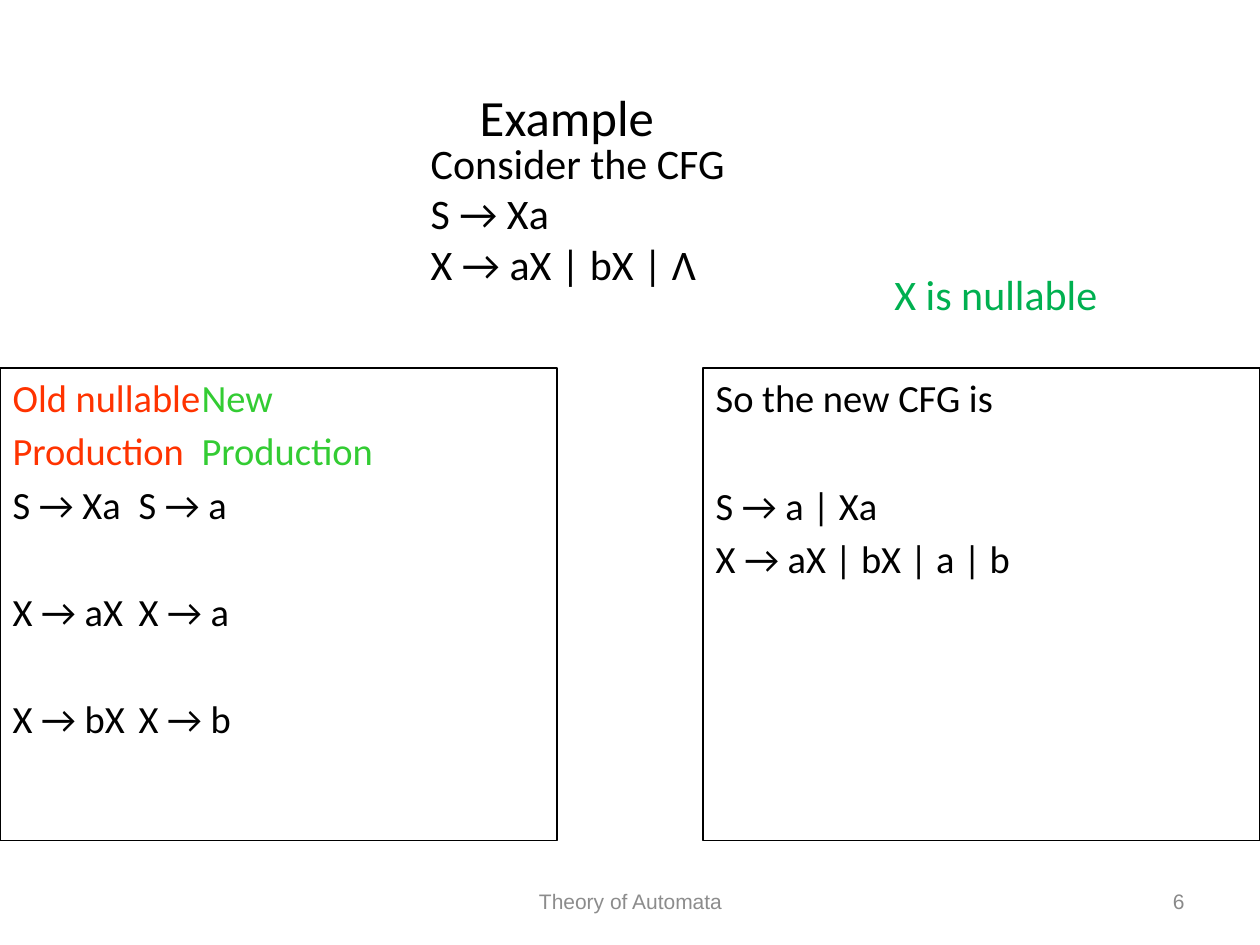
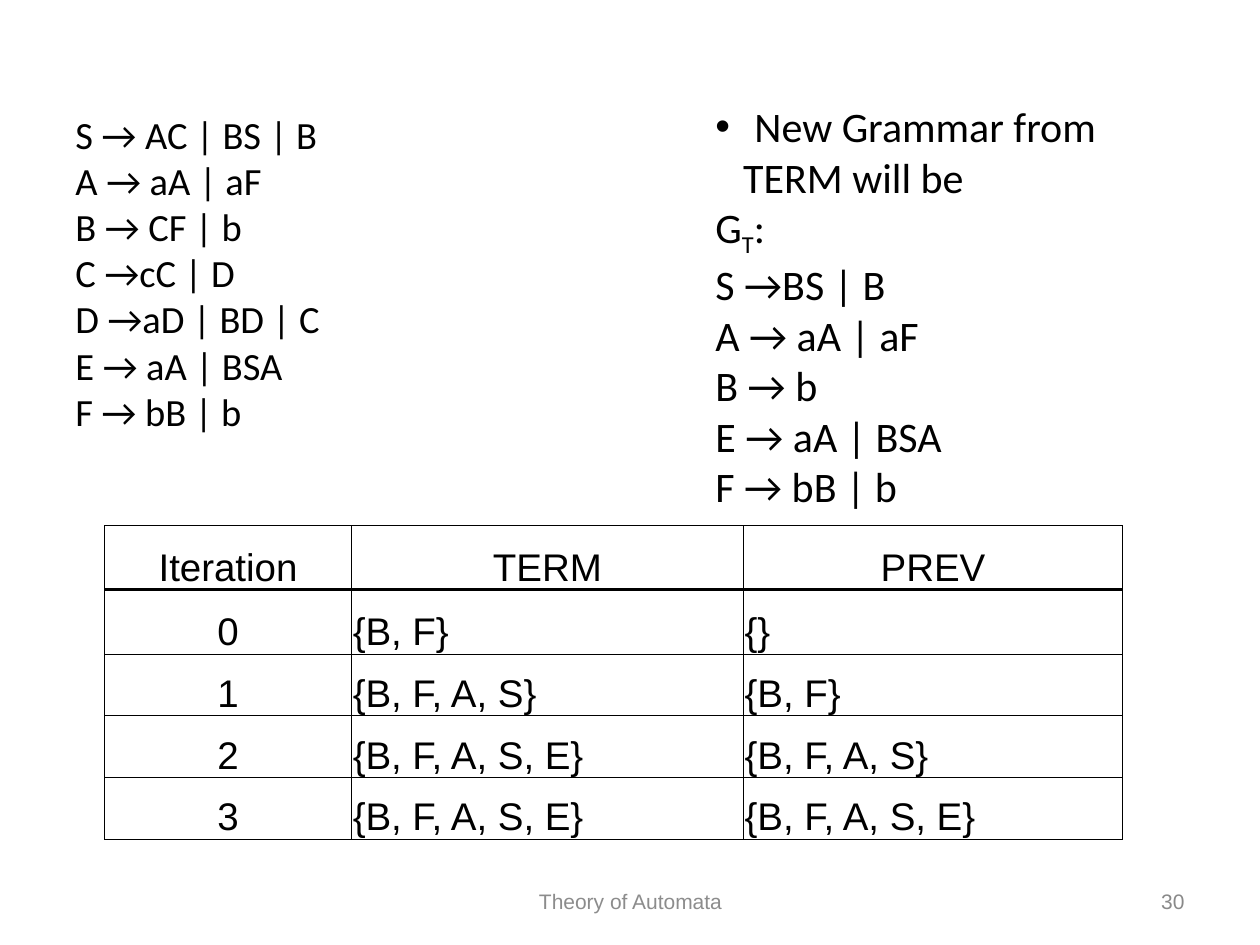
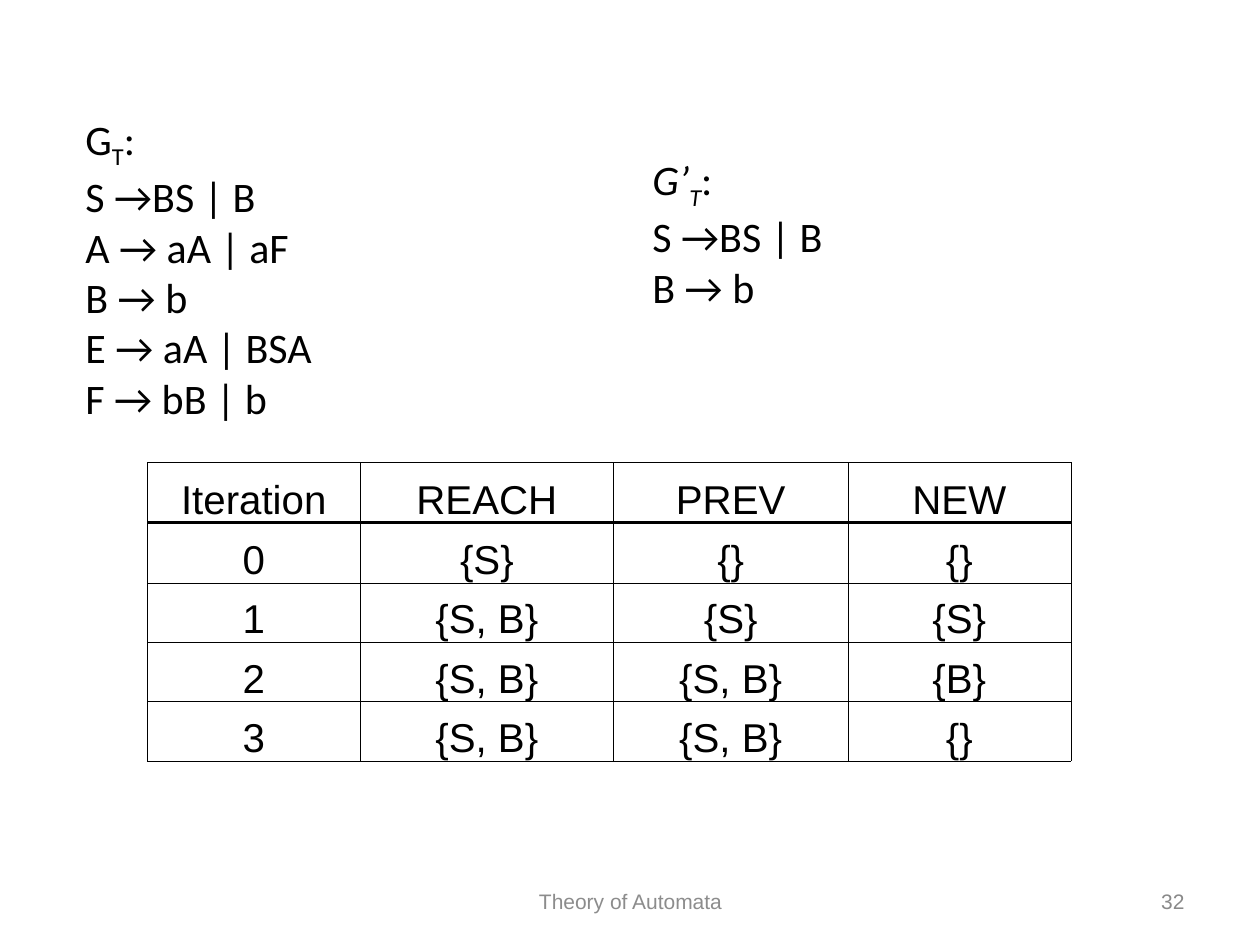
from dataclasses import dataclass
from typing import NamedTuple

from lxml.etree import SubElement
from pptx import Presentation
from pptx.dml.color import RGBColor
from pptx.enum.text import MSO_ANCHOR, MSO_AUTO_SIZE, PP_ALIGN
from pptx.oxml import parse_xml
from pptx.oxml.ns import nsdecls, qn
from pptx.util import Inches, Pt

BLACK = RGBColor(0x00, 0x00, 0x00)
OLD_RED = RGBColor(0xFF, 0x33, 0x00)
NEW_GREEN = RGBColor(0x33, 0xCC, 0x33)
NULLABLE_GREEN = RGBColor(0x00, 0xB0, 0x50)
FOOTER_GREY = RGBColor(0x8C, 0x8C, 0x8C)
NUMBER_GREY = RGBColor(0x89, 0x89, 0x89)
GRAMMAR_FONT = "Calibri"
TABLE_FONT = "Arial"
COURSE = "Theory of Automata"
TWO_CONTENT, BLANK = 3, 6
THIN, THICK = 0.5, 2
PAIR_TAB = 2.38


class Box(NamedTuple):
    left: float
    top: float
    width: float
    height: float


class Span(NamedTuple):
    text: str
    color: RGBColor | None = None
    subscript: bool = False
    italic: bool = False


@dataclass(frozen=True)
class Line:
    spans: tuple[Span, ...]
    space_before: float = 0
    indent: float = 0
    bullet: bool = False
    tab: float | None = None


@dataclass(frozen=True)
class Style:
    size: float
    font: str = GRAMMAR_FONT
    color: RGBColor = BLACK
    align: PP_ALIGN = PP_ALIGN.LEFT
    anchor: MSO_ANCHOR = MSO_ANCHOR.TOP
    grow: bool = True


@dataclass(frozen=True)
class IterationTable:
    box: Box
    columns: tuple[float, ...]
    row_heights: tuple[float, ...]
    rows: tuple[tuple[str, ...], ...]
    size: float
    inset: float
    centred_columns: int


GRAMMAR = Style(24)
SMALL_GRAMMAR = Style(22)
PANEL = Style(22, grow=False)
TITLE = Style(29, align=PP_ALIGN.CENTER, anchor=MSO_ANCHOR.MIDDLE, grow=False)
FOOTER = Style(12, TABLE_FONT, FOOTER_GREY, PP_ALIGN.CENTER, MSO_ANCHOR.MIDDLE, False)
NUMBER = Style(12, TABLE_FONT, NUMBER_GREY, PP_ALIGN.RIGHT, MSO_ANCHOR.MIDDLE, False)


def line(text: str, **layout) -> Line:
    return Line((Span(text),), **layout)


def lines(*texts: str) -> list[Line]:
    return [line(text) for text in texts]


def place(shape, box: Box) -> None:
    shape.left, shape.top, shape.width, shape.height = map(Inches, box)


def format_run(run, style: Style, span: Span) -> None:
    run.font.name = style.font
    run.font.size = Pt(style.size)
    run.font.color.rgb = span.color or style.color
    if span.italic:
        run.font.italic = True
    if span.subscript:
        run.font._element.set("baseline", "-25000")


def write_line(paragraph, content: Line, style: Style) -> None:
    properties = paragraph._p.get_or_add_pPr()
    properties.set("marL", str(Inches(content.indent)))
    properties.set("indent", str(-Inches(content.indent) if content.bullet else 0))
    if content.bullet:
        SubElement(properties, qn("a:buFont"), typeface="Arial")
        SubElement(properties, qn("a:buChar"), char="•")
    else:
        SubElement(properties, qn("a:buNone"))
    if content.tab is not None:
        stops = SubElement(properties, qn("a:tabLst"))
        SubElement(stops, qn("a:tab"), pos=str(Inches(content.tab)), algn="l")
    paragraph.alignment = style.align
    paragraph.space_before = Pt(content.space_before)
    for span in content.spans:
        run = paragraph.add_run()
        run.text = span.text
        format_run(run, style, span)


def write(shape, contents: list[Line], style: Style) -> None:
    frame = shape.text_frame
    frame.word_wrap = True
    frame.auto_size = MSO_AUTO_SIZE.SHAPE_TO_FIT_TEXT if style.grow else MSO_AUTO_SIZE.NONE
    frame.vertical_anchor = style.anchor
    for index, content in enumerate(contents):
        paragraph = frame.add_paragraph() if index else frame.paragraphs[0]
        write_line(paragraph, content, style)


def add_text(slide, box: Box, contents: list[Line], style: Style = GRAMMAR) -> None:
    write(slide.shapes.add_textbox(*map(Inches, box)), contents, style)


def fill_placeholder(shape, box: Box, contents: list[Line], style: Style) -> None:
    place(shape, box)
    write(shape, contents, style)


def add_slide(deck, layout: int, number: int):
    slide = deck.slides.add_slide(deck.slide_layouts[layout])
    add_text(slide, Box(7.17, 6.95, 2.33, 0.4), lines(str(number)), NUMBER)
    add_text(slide, Box(3.42, 6.95, 3.17, 0.4), lines(COURSE), FOOTER)
    return slide


def set_borders(cell, top: float, bottom: float) -> None:
    widths = {"lnL": THIN, "lnR": THIN, "lnT": top, "lnB": bottom}
    for position, (side, width) in enumerate(widths.items()):
        border = parse_xml(
            f'<a:{side} {nsdecls("a")} w="{Pt(width)}"><a:solidFill>'
            f'<a:srgbClr val="{BLACK}"/></a:solidFill></a:{side}>'
        )
        cell._tc.get_or_add_tcPr().insert(position, border)


def add_iterations(slide, content: IterationTable) -> None:
    frame = slide.shapes.add_table(
        len(content.rows), len(content.columns), *map(Inches, content.box)
    )
    table = frame.table
    table.first_row = table.horz_banding = False
    for column, width in zip(table.columns, content.columns):
        column.width = Inches(width)
    for row, height in zip(table.rows, content.row_heights):
        row.height = Inches(height)
    for row_index, values in enumerate(content.rows):
        for column_index, value in enumerate(values):
            cell = table.cell(row_index, column_index)
            cell.fill.background()
            cell.margin_left = cell.margin_right = cell.margin_top = Inches(content.inset)
            cell.margin_bottom = 0
            cell.vertical_anchor = MSO_ANCHOR.BOTTOM
            centred = row_index == 0 or column_index < content.centred_columns
            align = PP_ALIGN.CENTER if centred else PP_ALIGN.LEFT
            write_line(
                cell.text_frame.paragraphs[0],
                line(value),
                Style(content.size, TABLE_FONT, align=align),
            )
            set_borders(
                cell,
                top=THICK if row_index == 1 else THIN,
                bottom=THICK if row_index == 0 else THIN,
            )


TERM_GRAMMAR = [
    Line((Span("G"), Span("T", subscript=True), Span(":"))),
    *lines("S →BS | B", "A → aA | aF", "B → b", "E → aA | BSA", "F → bB | b"),
]
REACH_GRAMMAR = [
    Line((Span("G’", italic=True), Span("T", subscript=True, italic=True), Span(":"))),
    *lines("S →BS | B", "B → b"),
]
PRODUCTIONS = [
    Line((Span("Old nullable\t", OLD_RED), Span("New", NEW_GREEN)), tab=3.38),
    Line(
        (Span("Production\t", OLD_RED), Span("Production", NEW_GREEN)),
        space_before=4,
        tab=2.79,
    ),
    line("S → Xa\tS → a", space_before=4, tab=PAIR_TAB),
    line("X → aX\tX → a", space_before=35, tab=PAIR_TAB),
    line("X → bX\tX → b", space_before=35, tab=PAIR_TAB),
]
NEW_CFG = [
    line("So the new CFG is"),
    line("S → a | Xa", space_before=35),
    line("X → aX | bX | a | b", space_before=4),
]
TERM_TABLE = IterationTable(
    box=Box(0.83, 4.17, 8.08, 2.5),
    columns=(1.96, 3.11, 3.01),
    row_heights=(0.51, 0.51, 0.49, 0.49, 0.49),
    rows=(
        ("Iteration", "TERM", "PREV"),
        ("0", "{B, F}", "{}"),
        ("1", "{B, F, A, S}", "{B, F}"),
        ("2", "{B, F, A, S, E}", "{B, F, A, S}"),
        ("3", "{B, F, A, S, E}", "{B, F, A, S, E}"),
    ),
    size=22,
    inset=0.01,
    centred_columns=1,
)
REACH_TABLE = IterationTable(
    box=Box(1.17, 3.67, 7.33, 2.36),
    columns=(1.69, 2.01, 1.86, 1.77),
    row_heights=(0.48, 0.48, 0.47, 0.47, 0.47),
    rows=(
        ("Iteration", "REACH", "PREV", "NEW"),
        ("0", "{S}", "{}", "{}"),
        ("1", "{S, B}", "{S}", "{S}"),
        ("2", "{S, B}", "{S, B}", "{B}"),
        ("3", "{S, B}", "{S, B}", "{}"),
    ),
    size=23,
    inset=0,
    centred_columns=4,
)


def build_nullable_example(deck) -> None:
    slide = add_slide(deck, TWO_CONTENT, 6)
    fill_placeholder(slide.shapes.title, Box(0, 0.3, 9, 1.25), lines("Example"), TITLE)
    for index, (left, contents) in enumerate(((0, PRODUCTIONS), (5.58, NEW_CFG)), 1):
        panel = slide.placeholders[index]
        fill_placeholder(panel, Box(left, 2.92, 4.42, 3.75), contents, PANEL)
        panel.line.color.rgb = BLACK
        panel.line.width = Pt(0.75)
    add_text(
        slide,
        Box(3.32, 1.04, 4.1, 1.3),
        lines("Consider the CFG", "S → Xa", "X → aX | bX | Λ"),
    )
    nullable = Line((Span("X is nullable", NULLABLE_GREEN),))
    add_text(slide, Box(7, 2.08, 2.33, 0.51), [nullable])


def build_term(deck) -> None:
    slide = add_slide(deck, BLANK, 30)
    add_text(
        slide,
        Box(0.5, 0.83, 2.58, 2.66),
        lines(
            "S → AC | BS | B",
            "A → aA | aF",
            "B → CF | b",
            "C →cC | D",
            "D →aD | BD | C",
            "E → aA | BSA",
            "F → bB | b",
        ),
        SMALL_GRAMMAR,
    )
    heading = [
        line("New Grammar from", indent=0.31, bullet=True),
        line("TERM will be", indent=0.22),
    ]
    add_text(slide, Box(5.58, 0.75, 4, 3.3), heading + TERM_GRAMMAR)
    add_iterations(slide, TERM_TABLE)


def build_reach(deck) -> None:
    slide = add_slide(deck, BLANK, 32)
    add_text(slide, Box(0.58, 0.85, 4, 2.5), TERM_GRAMMAR)
    add_text(slide, Box(5.08, 1.17, 4, 1.31), REACH_GRAMMAR)
    add_iterations(slide, REACH_TABLE)


def main() -> None:
    deck = Presentation()
    deck.slide_width, deck.slide_height = Inches(10), Inches(7.5)
    build_nullable_example(deck)
    build_term(deck)
    build_reach(deck)
    deck.save("out.pptx")


if __name__ == "__main__":
    main()
